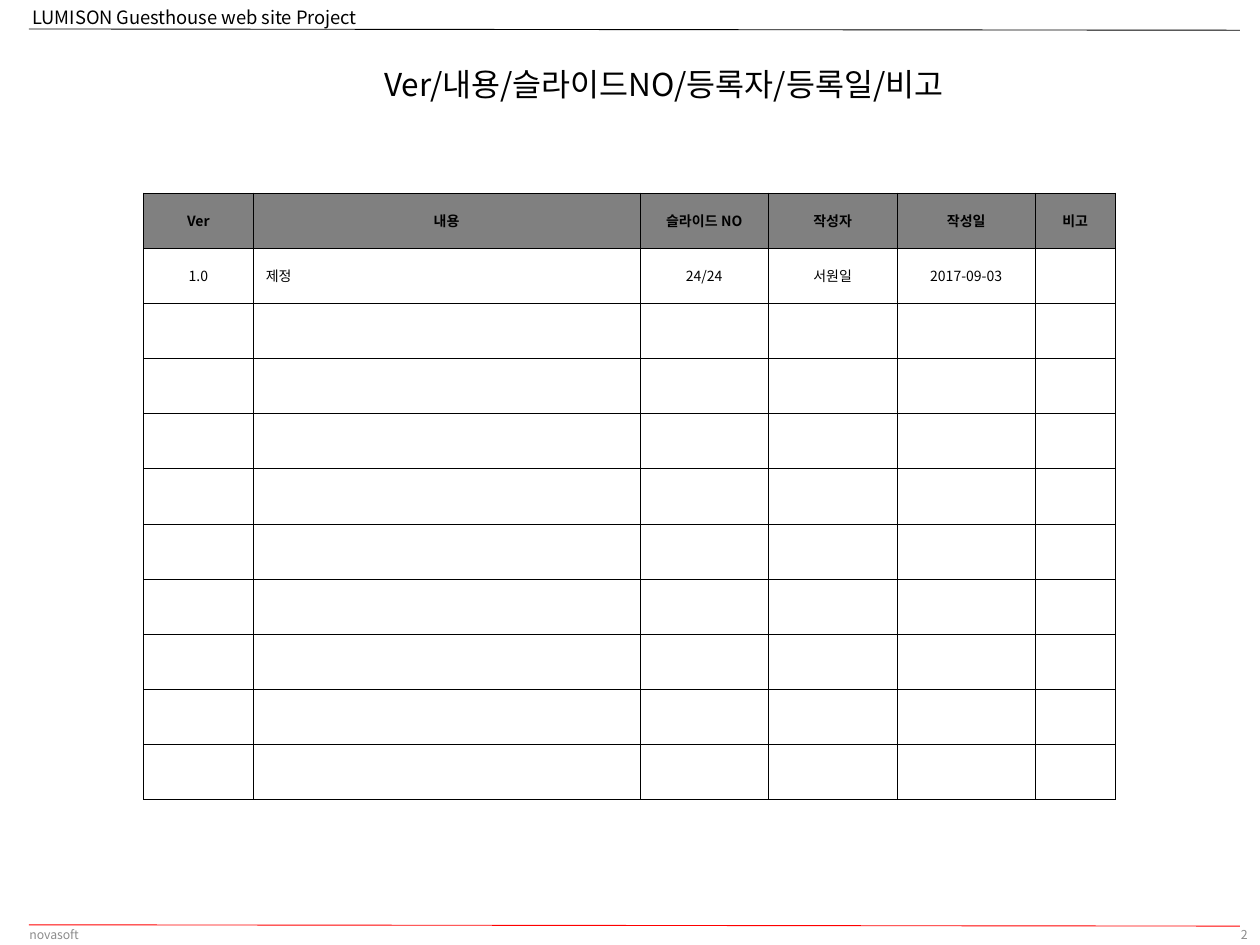
from lxml.etree import SubElement
from pptx import Presentation
from pptx.dml.color import RGBColor
from pptx.enum.shapes import MSO_CONNECTOR as Connector
from pptx.enum.text import MSO_ANCHOR as Anchor, PP_ALIGN as Align
from pptx.oxml.ns import qn
from pptx.util import Inches, Pt

FONT = "Noto Sans CJK KR"
COLORS = {"text": "000000", "muted": "8C8C8C", "red": "FF0000", "header": "808080"}
COLUMNS = [0.87, 3.07, 1.02, 1.02, 1.1, 0.63]
ROW_COUNT = 11
HISTORY = [
    ["Ver", "내용", "슬라이드 NO", "작성자", "작성일", "비고"],
    ["1.0", "제정", "24/24", "서원일", "2017-09-03", ""],
]


def color(name):
    return RGBColor.from_string(COLORS[name])


def style_paragraph(paragraph, size, color_name="text", align=Align.LEFT, bold=False):
    paragraph.alignment = align
    for run in paragraph.runs:
        run.font.name = FONT
        run.font.size = Pt(size)
        run.font.bold = bold
        run.font.color.rgb = color(color_name)
        SubElement(run.font._element, qn("a:ea"), typeface=FONT)


def add_label(slide, box, text, size, color_name="text", align=Align.LEFT,
              anchor=Anchor.TOP, wrap=True):
    shape = slide.shapes.add_textbox(*map(Inches, box))
    frame = shape.text_frame
    frame.word_wrap = wrap
    frame.vertical_anchor = anchor
    frame.text = text
    style_paragraph(frame.paragraphs[0], size, color_name, align)


def add_rule(slide, left, top, width, color_name):
    line = slide.shapes.add_connector(
        Connector.STRAIGHT, Inches(left), Inches(top),
        Inches(left + width), Inches(top + 0.01))
    line.line.color.rgb = color(color_name)
    line.line.width = Pt(0.5)
    SubElement(line._element.spPr, qn("a:effectLst"))


def add_header(slide, left, top, width):
    add_rule(slide, left, top + 0.23, width, "text")
    add_label(slide, (left - 0.07, top, 2.88, 0.28),
              "LUMISON Guesthouse web site Project", 10.5, wrap=False)


def add_footer(slide, left, top, width, height):
    add_rule(slide, left + 0.23, top, 9.61, "red")
    add_label(slide, (left, top, 0.86, height), "novasoft", 7, "muted",
              Align.CENTER, Anchor.MIDDLE)
    add_label(slide, (left + width - 2.33, top, 2.33, height), "2", 7, "muted",
              Align.RIGHT, Anchor.MIDDLE)


def place_title(slide, left, top, width, height):
    title = slide.shapes.title
    title.left, title.top = Inches(left), Inches(top)
    title.width, title.height = Inches(width), Inches(height)
    frame = title.text_frame
    frame.word_wrap = True
    frame.vertical_anchor = Anchor.TOP
    frame.text = "Ver/내용/슬라이드NO/등록자/등록일/비고"
    frame.paragraphs[0].line_spacing = 0.82
    style_paragraph(frame.paragraphs[0], 18)


def add_borders(cell):
    properties = cell._tc.get_or_add_tcPr()
    for position, side in enumerate(("a:lnL", "a:lnR", "a:lnT", "a:lnB")):
        border = properties.makeelement(qn(side), {"w": str(Pt(0.25))})
        fill = SubElement(border, qn("a:solidFill"))
        SubElement(fill, qn("a:srgbClr"), val=COLORS["text"])
        properties.insert(position, border)


def add_history_table(slide, left, top, width, height):
    table = slide.shapes.add_table(
        ROW_COUNT, len(COLUMNS), Inches(left), Inches(top),
        Inches(width), Inches(height)).table
    for column, column_width in zip(table.columns, COLUMNS):
        column.width = Inches(column_width)
    for row_index, row in enumerate(table.rows):
        row.height = Inches(height / ROW_COUNT)
        is_header = row_index == 0
        for column_index, cell in enumerate(row.cells):
            cell.vertical_anchor = Anchor.MIDDLE
            if is_header:
                cell.fill.solid()
                cell.fill.fore_color.rgb = color("header")
            else:
                cell.fill.background()
            add_borders(cell)
            paragraph = cell.text_frame.paragraphs[0]
            text = HISTORY[row_index][column_index] if row_index < len(HISTORY) else ""
            if text:
                paragraph.text = text
                align = Align.LEFT if text == "제정" else Align.CENTER
                style_paragraph(paragraph, 8, align=align, bold=is_header)
            else:
                # Small empty cells keep the row height
                SubElement(paragraph._p, qn("a:endParaRPr"), sz="800")


presentation = Presentation()
presentation.slide_width, presentation.slide_height = Inches(10), Inches(7.5)
slide = presentation.slides.add_slide(presentation.slide_layouts[5])

# Page frame
add_header(slide, 0.23, 0, 9.61)
add_footer(slide, 0, 7.34, 10, 0.16)

# Title and revision history
place_title(slide, 2.95, 0.52, 4.99, 0.4)
add_history_table(slide, 1.14, 1.53, sum(COLUMNS), 4.82)

presentation.save("out.pptx")
